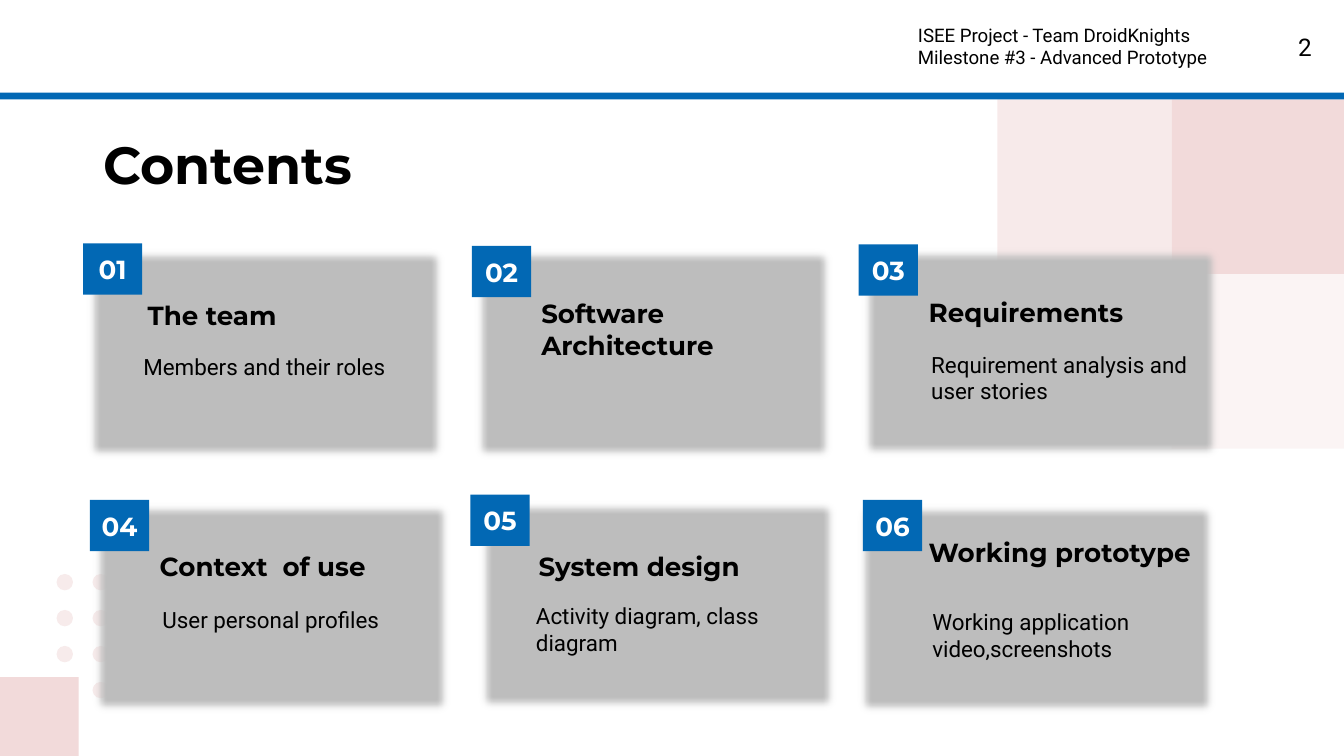
from lxml.etree import SubElement
from pptx import Presentation
from pptx.dml.color import RGBColor
from pptx.enum.shapes import MSO_SHAPE
from pptx.enum.text import MSO_ANCHOR, MSO_AUTO_SIZE, PP_ALIGN
from pptx.oxml.ns import qn
from pptx.util import Cm, Pt

COLORS = {"blue": "0268B4", "gray": "BDBDBD", "pink": "F2DADA",
          "dot": "F7EBEB", "white": "FFFFFF", "black": "000000"}

# Content; positions in cm: card, badge, heading, body
TITLE = "Contents"
PROJECT = ["ISEE Project - Team DroidKnights", "Milestone #3 - Advanced Prototype"]
PAGE = "2"
TOPICS = [
    ("01", "The team", "Members and their roles",
     (1.57, 4.65), (1.57, 4.6), (2.54, 5.41), (2.46, 6.43)),
    ("02", "Software Architecture", None,
     (8.92, 4.65), (8.92, 4.65), (9.98, 5.38), None),
    ("03", "Requirements", "Requirement analysis and user stories",
     (16.23, 4.62), (16.23, 4.62), (17.3, 5.36), (17.35, 6.38)),
    ("04", "Context  of use", "User personal profiles",
     (1.7, 9.45), (1.7, 9.45), (2.77, 10.16), (2.82, 11.2)),
    ("05", "System design", "Activity diagram, class diagram",
     (8.99, 9.4), (8.89, 9.35), (9.93, 10.16), (9.88, 11.13)),
    ("06", "Working prototype", "Working application video,screenshots",
     (16.15, 9.47), (16.31, 9.45), (17.3, 9.88), (17.37, 11.25)),
]

# Sizes in cm
WIDTH, HEIGHT = 25.4, 14.29
CARD, BADGE, HEAD, BODY = (6.88, 4.09), (1.12, 0.97), (5.77, 1.07), (5.77, 2)
SQUARE, BAR_TOP, BAR = 3.3, 1.75, 0.13
DOT, DOT_PITCH, DOT_LEFT, DOT_TOP = 0.31, 0.68, 1.07, 10.85
DOT_COLUMNS = [3, 4]

# Text formats
TITLE_FONT = {"name": "Montserrat", "size": Pt(28), "bold": True}
HEAD_FONT = {"name": "Montserrat", "size": Pt(14), "bold": True}
BODY_FONT = {"name": "Roboto", "size": Pt(12), "bold": False}
PAGE_FONT = {"name": "Roboto", "size": Pt(13), "bold": False}
PROJECT_FONT = {"name": "Roboto", "size": Pt(10), "bold": False}


def place(sp, pos, size):
    sp.left, sp.top = map(Cm, pos)
    sp.width, sp.height = map(Cm, size)


def write(sp, lines, font, color="black", align=PP_ALIGN.LEFT,
          anchor=MSO_ANCHOR.TOP, side=0.25, after=0):
    tf = sp.text_frame
    frame = {"word_wrap": True, "auto_size": MSO_AUTO_SIZE.NONE,
             "vertical_anchor": anchor, "margin_left": Cm(side),
             "margin_right": Cm(side), "margin_top": Cm(0.25),
             "margin_bottom": Cm(0.25)}
    for key, value in frame.items():
        setattr(tf, key, value)
    for i, line in enumerate(lines):
        p = tf.paragraphs[0] if i == 0 else tf.add_paragraph()
        p.alignment, p.space_after = align, Pt(after)
        r = p.add_run()
        r.text = line
        for key, value in font.items():
            setattr(r.font, key, value)
        r.font.color.rgb = RGBColor.from_string(COLORS[color])


def add_text(s, pos, size, lines, font, **options):
    sp = s.shapes.add_textbox(0, 0, 0, 0)
    place(sp, pos, size)
    write(sp, lines, font, **options)


def add_block(s, pos, size, color, kind=MSO_SHAPE.RECTANGLE, alpha=None, soft=None):
    sp = s.shapes.add_shape(kind, 0, 0, 0, 0)
    place(sp, pos, size)
    sp.shadow.inherit = False
    sp.fill.solid()
    sp.fill.fore_color.rgb = RGBColor.from_string(COLORS[color])
    sp.line.fill.background()
    props = sp._element.spPr
    if alpha:
        clr = props.find(qn("a:solidFill")).find(qn("a:srgbClr"))
        SubElement(clr, qn("a:alpha"), val=str(alpha * 1000))
    if soft:
        SubElement(props.find(qn("a:effectLst")), qn("a:softEdge"), rad=str(Pt(soft)))
    return sp


prs = Presentation()
prs.slide_width, prs.slide_height = Cm(WIDTH), Cm(HEIGHT)
s = prs.slides.add_slide(prs.slide_layouts[5])

# Dots and squares in the background
for col, rows in enumerate(DOT_COLUMNS):
    for row in range(rows):
        pos = DOT_LEFT + col * DOT_PITCH, DOT_TOP + row * DOT_PITCH
        add_block(s, pos, (DOT, DOT), "dot", MSO_SHAPE.OVAL)
add_block(s, (0, 12.8), (1.49, 1.49), "pink")
right, top = 22.15, BAR_TOP + BAR
for col, row, alpha in [(0, 0, None), (0, 1, 28), (-1, 0, 55)]:
    add_block(s, (right + col * SQUARE, top + row * SQUARE),
              (SQUARE, SQUARE), "pink", alpha=alpha)

# Header
add_block(s, (0, 0), (WIDTH, BAR_TOP), "white")
add_block(s, (0, BAR_TOP), (WIDTH, BAR), "blue")
add_text(s, (17.1, 0.2), (6.88, 1.32), PROJECT, PROJECT_FONT)
add_text(s, (23.52, 0.36), (1.52, 1.09), [PAGE], PAGE_FONT, align=PP_ALIGN.RIGHT)
place(s.shapes.title, (1.7, 2.24), (21.44, 1.6))
write(s.shapes.title, [TITLE], TITLE_FONT)

# Topic cards
for number, head, body, card_at, badge_at, head_at, body_at in TOPICS:
    add_block(s, card_at, CARD, "gray", soft=5)
    badge = add_block(s, badge_at, BADGE, "blue")
    write(badge, [number], HEAD_FONT, "white", PP_ALIGN.CENTER, MSO_ANCHOR.MIDDLE, side=0)
    add_text(s, head_at, HEAD, [head], HEAD_FONT, after=8)
    if body:
        add_text(s, body_at, BODY, [body], BODY_FONT, after=8)

prs.save("out.pptx")
